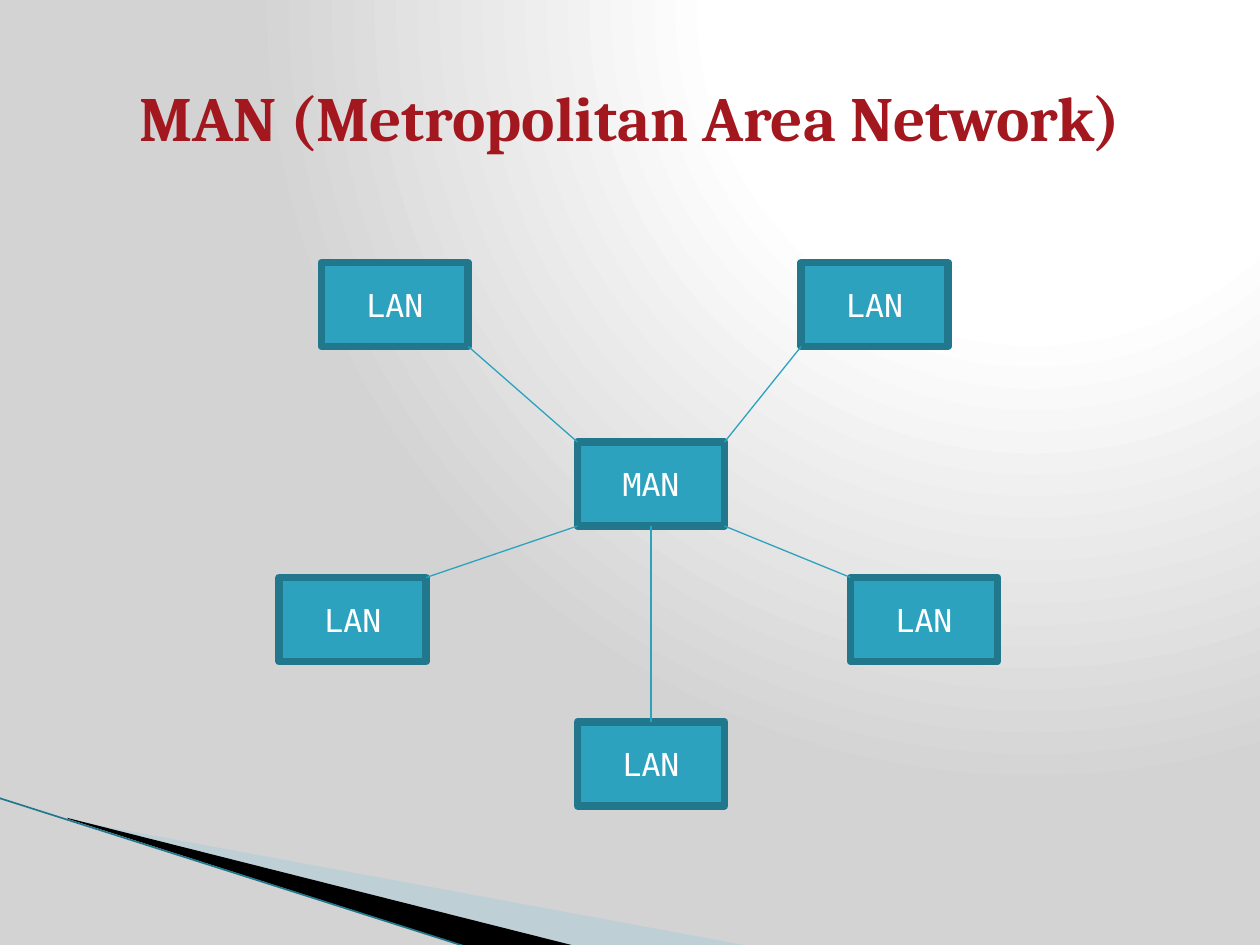
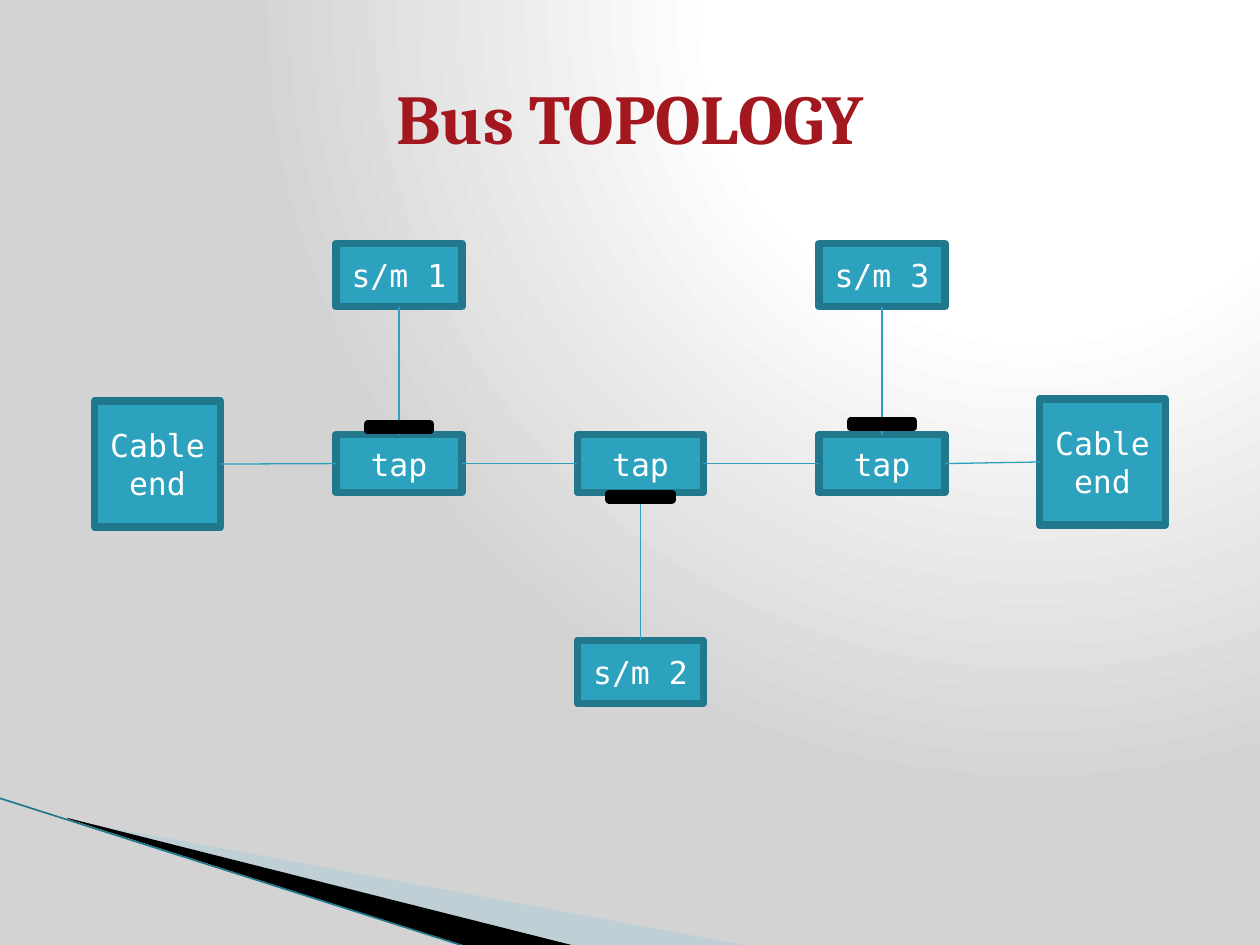
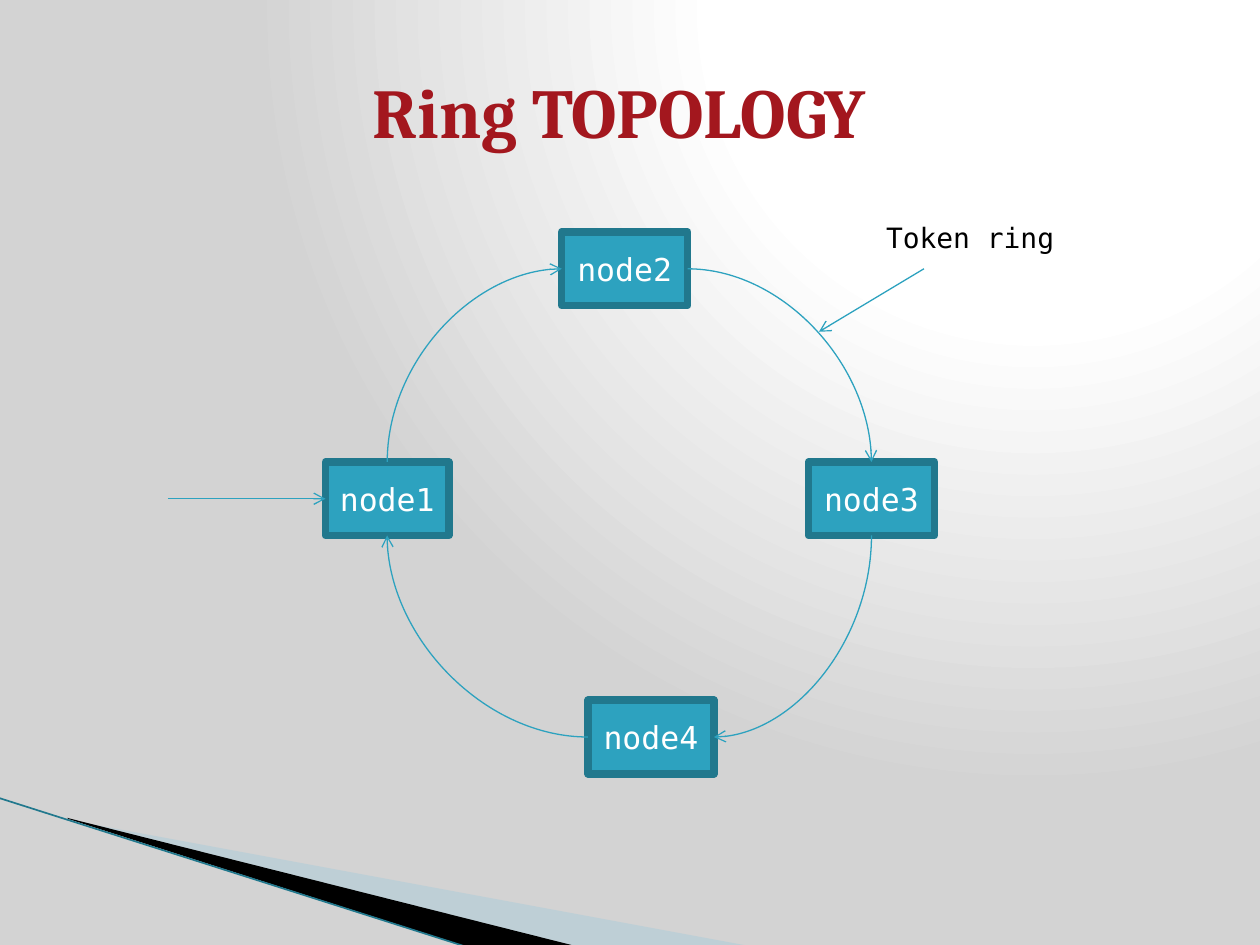
from pptx import Presentation, util as u
from pptx.dml.color import RGBColor
from pptx.enum import shapes as kinds, text as styles
from pptx.oxml import parse_xml
from pptx.oxml.ns import nsdecls, qn

COLORS = {"node": "2DA2BF", "edge": "21788D", "title": "A3171E", "white": "FFFFFF",
          "black": "000000", "ribbon": "A0CBDC", "shade": "D3D3D3"}
HEADING, BODY = "Cambria", "DejaVu Sans Mono"
COLUMNS, ROWS = 120, 90
WIDTH, HEIGHT = u.Inches(10), u.Inches(7.5)
CELL = WIDTH // COLUMNS
TOP, LEFT, BOTTOM, RIGHT = range(4)

RIBBONS = [
    ("ribbon", 40, [(6.6, 78.1), (71.4, 90.1), (54.7, 90.1), (6.6, 78)]),
    ("black", 100, [(6.4, 77.9), (54.8, 90.1), (44.6, 90.2), (6.5, 78)]),
]
RIBBON_EDGE = [(-0.1, 76), (44.5, 90.2)]

SLIDES = [
    {
        "title": "MAN (Metropolitan Area Network)", "title_size": 36, "title_at": (6, 3.6),
        "node_size": (14, 8),
        "nodes": {
            "man": ("MAN", 55, 42.1),
            "upper left": ("LAN", 30.6, 25),
            "lower left": ("LAN", 26.6, 55),
            "bottom": ("LAN", 55, 68.75),
            "lower right": ("LAN", 81, 55),
            "upper right": ("LAN", 76.3, 25),
        },
        "corner_links": [("man", name) for name in
                         ("lower left", "upper left", "upper right", "lower right")],
        "links": [("man", BOTTOM, "bottom", TOP)],
    },
    {
        "title": "Bus TOPOLOGY", "title_size": 40, "title_at": (6, 3.6),
        "node_size": (12, 5.5),
        "nodes": {
            "left end": ("Cable end", 9, 38.2, 12, 12),
            "right end": ("Cable end", 99, 38, 12, 12),
            "tap 1": ("tap", 32, 41.4),
            "tap 2": ("tap", 55, 41.4),
            "tap 3": ("tap", 78, 41.4),
            "system 1": ("s/m 1", 32, 23.2, 12, 6),
            "system 3": ("s/m 3", 78, 23.2, 12, 6),
            "system 2": ("s/m 2", 55, 61, 12, 6),
        },
        "links": [
            ("left end", RIGHT, "tap 1", LEFT),
            ("tap 1", RIGHT, "tap 2", LEFT),
            ("tap 2", RIGHT, "tap 3", LEFT),
            ("tap 3", RIGHT, "right end", LEFT),
            ("tap 1", TOP, "system 1", BOTTOM),
            ("tap 3", TOP, "system 3", BOTTOM),
            ("tap 2", BOTTOM, "system 2", TOP),
        ],
        "clips": [(35, 40.4), (58, 47), (81, 40.1)],
    },
    {
        "title": "Ring TOPOLOGY", "title_size": 40, "title_at": (5, 3),
        "node_size": (12, 7),
        "nodes": {
            "node1": ("node1", 31, 44, 11.75, 7),
            "node4": ("node4", 56, 66.7),
            "node3": ("node3", 77, 44),
            "node2": ("node2", 53.5, 22.1),
        },
        "curves": [
            ("node1", TOP, "node2", LEFT),
            ("node2", RIGHT, "node3", TOP),
            ("node4", LEFT, "node1", BOTTOM),
            ("node3", BOTTOM, "node4", RIGHT),
        ],
        "pointer": [(88, 25.6), (78, 31.6)],
        "note": ("Token ring", 83.2, 20.4, 18.8, 4.4),
        "entry": ((16, 47.5), "node1", LEFT),
    },
]


def grid(*cells):
    return [round(cell * CELL) for cell in cells]


def color(name):
    return RGBColor.from_string(COLORS[name])


def write(shape, content, size=18, font=BODY, ink="white", bold=False,
          align=styles.PP_ALIGN.CENTER, anchor=styles.MSO_ANCHOR.MIDDLE):
    frame = shape.text_frame
    frame.word_wrap = True
    frame.vertical_anchor = anchor
    paragraph = frame.paragraphs[0]
    paragraph.text = content
    paragraph.alignment = align
    paragraph.font.size = u.Pt(size)
    paragraph.font.name = font
    paragraph.font.bold = bold
    paragraph.font.color.rgb = color(ink)
    return frame


def add_box(slide, place, fill="node", edge="edge"):
    box = slide.shapes.add_shape(kinds.MSO_SHAPE.RECTANGLE, *grid(*place))
    box.shadow.inherit = False
    box.fill.solid()
    box.fill.fore_color.rgb = color(fill)
    box.line.color.rgb = color(edge)
    box.line.width = u.Pt(4.33)
    return box


def add_line(slide, start, end, ink="node", width=0.75, arrow=False,
             kind=kinds.MSO_CONNECTOR.STRAIGHT):
    line = slide.shapes.add_connector(kind, *map(round, (*start, *end)))
    line.line.color.rgb = color(ink)
    line.line.width = u.Pt(width)
    if arrow:
        line.line._get_or_add_ln().append(
            parse_xml(f'<a:tailEnd {nsdecls("a")} type="arrow"/>'))
    line._element.spPr.append(parse_xml(f'<a:effectLst {nsdecls("a")}/>'))
    return line


def side_point(box, side):
    across, down = [(0.5, 0), (0, 0.5), (0.5, 1), (1, 0.5)][side]
    return box.left + across * box.width, box.top + down * box.height


def facing_corner(box, other):
    return (box.left + box.width * (other.left > box.left),
            box.top + box.height * (other.top > box.top))


def add_link(slide, first, first_side, second, second_side):
    line = add_line(slide, side_point(first, first_side), side_point(second, second_side))
    line.begin_connect(first, first_side)
    line.end_connect(second, second_side)


def add_curve(slide, first, first_side, second, second_side):
    start, end = side_point(first, first_side), side_point(second, second_side)
    across, down = end[0] - start[0], end[1] - start[1]
    middle = (start[0] + end[0]) / 2, (start[1] + end[1]) / 2
    upright = first_side in (TOP, BOTTOM)
    if upright:
        across, down = down, -across
    curve = add_line(slide, (middle[0] - across / 2, middle[1] - down / 2),
                     (middle[0] + across / 2, middle[1] + down / 2),
                     arrow=True, kind=kinds.MSO_CONNECTOR.CURVE)
    properties = curve._element.spPr
    properties.find(qn("a:prstGeom")).set("prst", "curvedConnector2")
    if upright:
        properties.find(qn("a:xfrm")).set("rot", "5400000")


def set_background(master):
    stops = "".join(f'<a:gs pos="{share * 1000}"><a:srgbClr val="{COLORS[name]}"/></a:gs>'
                    for share, name in [(0, "white"), (40, "white"), (100, "shade")])
    content = master._element.cSld
    content.remove(content.find(qn("p:bg")))
    content.insert(0, parse_xml(
        f'<p:bg {nsdecls("p", "a")}><p:bgPr><a:gradFill rotWithShape="1">'
        f'<a:gsLst>{stops}</a:gsLst><a:path path="circle">'
        '<a:fillToRect l="65000" t="0" r="0" b="98000"/></a:path></a:gradFill>'
        '<a:effectLst/></p:bgPr></p:bg>'))


def add_ribbons(slide, layout):
    parts = []
    for fill, opacity, points in RIBBONS:
        corners = [grid(*point) for point in points]
        builder = slide.shapes.build_freeform(*corners[0])
        builder.add_line_segments(corners[1:], close=True)
        ribbon = builder.convert_to_shape()
        ribbon.shadow.inherit = False
        ribbon.fill.solid()
        ribbon.fill.fore_color.rgb = color(fill)
        ribbon.line.fill.background()
        tint = ribbon._element.spPr.find(qn("a:solidFill"))[0]
        tint.append(parse_xml(f'<a:alpha {nsdecls("a")} val="{opacity * 1000}"/>'))
        parts.append(ribbon)
    parts.append(add_line(slide, *(grid(*point) for point in RIBBON_EDGE),
                          ink="edge", width=0.95))
    for part in parts:
        layout.shapes._spTree.append(part._element)


def build_slide(slide, content):
    title = slide.shapes.add_textbox(*grid(*content["title_at"], 108, 15))
    write(title, content["title"], size=content["title_size"], font=HEADING,
          ink="title", bold=True)
    nodes = {}
    for name, (label, column, row, *size) in content["nodes"].items():
        nodes[name] = add_box(slide, (column, row, *(size or content["node_size"])))
        write(nodes[name], label)
    for first, second in content.get("corner_links", []):
        add_line(slide, facing_corner(nodes[first], nodes[second]),
                 facing_corner(nodes[second], nodes[first]))
    for key, connect in (("links", add_link), ("curves", add_curve)):
        for first, first_side, second, second_side in content.get(key, []):
            connect(slide, nodes[first], first_side, nodes[second], second_side)
    for column, row in content.get("clips", []):
        add_box(slide, (column, row, 6, 0.6), fill="black", edge="black")
    if "pointer" in content:
        add_line(slide, *(grid(*point) for point in content["pointer"]), arrow=True)
    if "note" in content:
        label, *place = content["note"]
        frame = write(slide.shapes.add_textbox(*grid(*place)), label, size=16, ink="black",
                      align=styles.PP_ALIGN.LEFT, anchor=styles.MSO_ANCHOR.TOP)
        frame.auto_size = styles.MSO_AUTO_SIZE.SHAPE_TO_FIT_TEXT
    if "entry" in content:
        start, name, side = content["entry"]
        line = add_line(slide, grid(*start), side_point(nodes[name], side), arrow=True)
        line.end_connect(nodes[name], side)


def main():
    presentation = Presentation()
    presentation.slide_width, presentation.slide_height = WIDTH, HEIGHT
    set_background(presentation.slide_master)
    layout = presentation.slide_layouts[6]
    for number, content in enumerate(SLIDES):
        slide = presentation.slides.add_slide(layout)
        if number == 0:
            add_ribbons(slide, layout)
        build_slide(slide, content)
    presentation.save("out.pptx")


if __name__ == "__main__":
    main()
